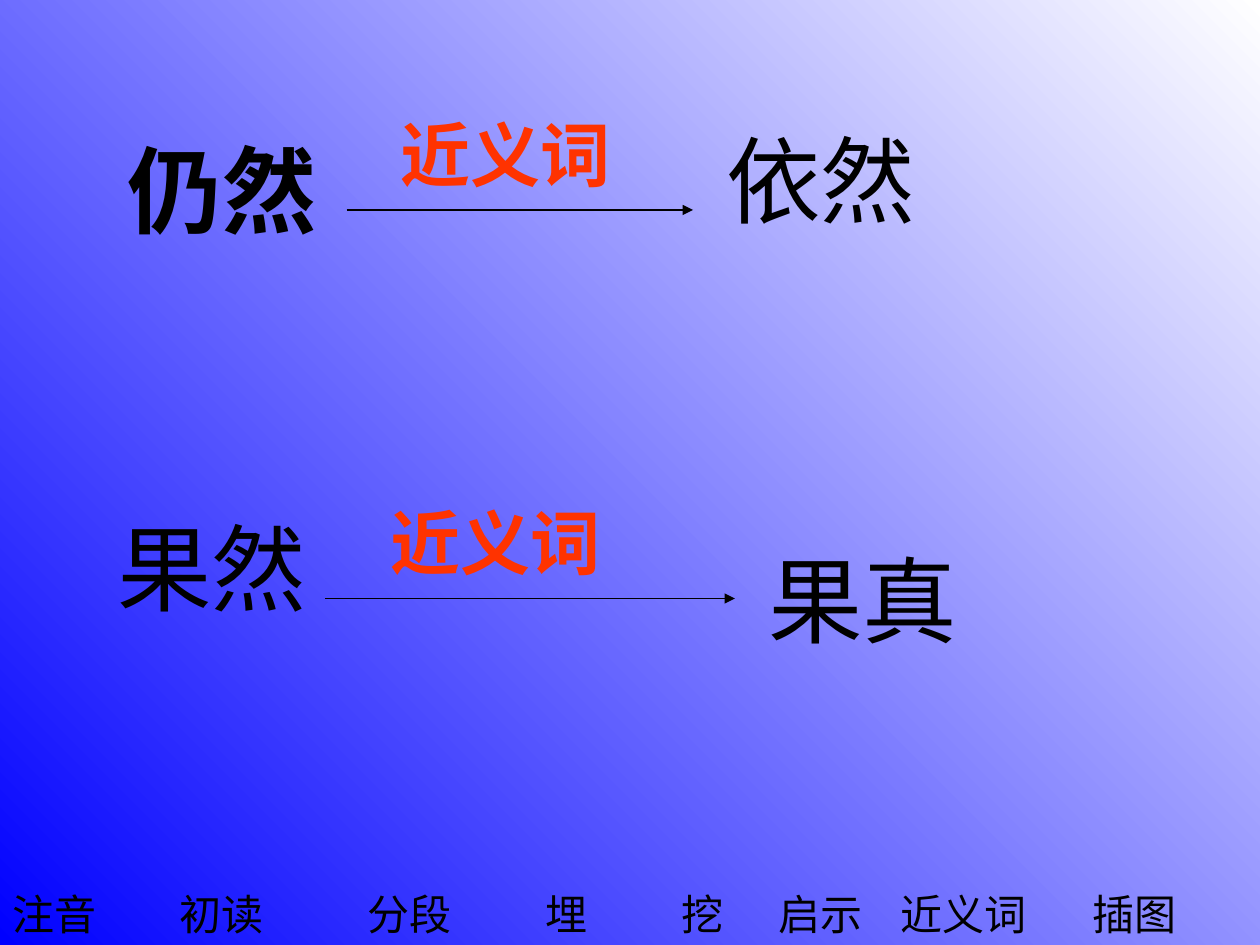
import pptx
import pptx.dml.color
import pptx.enum.shapes
import pptx.enum.text
import pptx.oxml
import pptx.oxml.ns
import pptx.util

COLORS = {"text": "000000", "label": "FF3300", "sky": "FFFFFF", "deep": "0000FF"}
FONT = "Times New Roman"
COLUMNS, ROWS = 120, 90
CELL = pptx.util.Inches(10) // COLUMNS

SYNONYM_ROWS = [
    {
        "box": (10, 10, 86, 14),
        "word": ("仍然", (1, 2, 36, 12), True),
        "label": ("近义词", (27, 0, 25, 9.2)),
        "arrow": (23, 56, 10),
        "synonym": ("依然", (58, 1, 28, 12)),
    },
    {
        "box": (10, 47, 89, 16),
        "word": ("果然", (0, 1, 28, 12), False),
        "label": ("近义词", (26, 0, 29, 9.2)),
        "arrow": (21, 60, 10),
        "synonym": ("果真", (62, 4, 27, 12)),
    },
]
MENU = ["注音", "初读", "分段", "埋", "挖", "启示", "近义词", "插图"]
MENU_STOPS = [1.33, 2.82, 4.23, 5.31, 6.08, 7.05, 8.57]


def rgb(name):
    return pptx.dml.color.RGBColor.from_string(COLORS[name])


def cells(count):
    return round(count * CELL)


def inside(box, part):
    return (box[0] + part[0], box[1] + part[1], part[2], part[3])


def add_text(slide, text, box, size=54, bold=False, color="text", stops=()):
    shape = slide.shapes.add_textbox(*map(cells, box))
    frame = shape.text_frame
    frame.word_wrap = True
    frame.auto_size = pptx.enum.text.MSO_AUTO_SIZE.SHAPE_TO_FIT_TEXT
    paragraph = frame.paragraphs[0]
    if stops:
        properties = paragraph._p.get_or_add_pPr()
        tab_list = pptx.oxml.parse_xml(
            "<a:tabLst %s/>" % pptx.oxml.ns.nsdecls("a"))
        for stop in stops:
            tab = tab_list.makeelement(pptx.oxml.ns.qn("a:tab"), {
                "pos": str(pptx.util.Inches(stop)), "algn": "l"})
            tab_list.append(tab)
        properties.append(tab_list)
    run = paragraph.add_run()
    run.text = text
    run.font.name = FONT
    run.font.size = pptx.util.Pt(size)
    run.font.bold = bold
    run.font.color.rgb = rgb(color)
    return shape


def add_arrow(slide, start, end, row):
    arrow = slide.shapes.add_connector(
        pptx.enum.shapes.MSO_CONNECTOR.STRAIGHT,
        cells(start), cells(row), cells(end), cells(row))
    arrow.line.color.rgb = rgb("text")
    arrow.line.width = pptx.util.Pt(0.75)
    namespace = pptx.oxml.ns.nsdecls("a")
    arrow.line._get_or_add_ln().append(
        pptx.oxml.parse_xml('<a:tailEnd %s type="triangle"/>' % namespace))
    arrow._element.spPr.append(
        pptx.oxml.parse_xml("<a:effectLst %s/>" % namespace))


def add_synonym_row(slide, box, word, label, arrow, synonym):
    text, part, bold = word
    add_text(slide, text, inside(box, part), bold=bold)
    start, end, height = arrow
    add_arrow(slide, box[0] + start, box[0] + end, box[1] + height)
    text, part = synonym
    add_text(slide, text, inside(box, part))
    text, part = label
    add_text(slide, text, inside(box, part), size=40, bold=True, color="label")


def add_menu(slide, box):
    add_text(slide, "\t".join(MENU), box, size=24, stops=MENU_STOPS)


def paint_background(slide):
    fill = slide.background.fill
    fill.gradient()
    fill.gradient_angle = 225
    for stop, name, position in zip(fill.gradient_stops, ("sky", "deep"), (0, 1)):
        stop.color.rgb = rgb(name)
        stop.position = position


def main():
    presentation = pptx.Presentation()
    presentation.slide_width = cells(COLUMNS)
    presentation.slide_height = cells(ROWS)
    slide = presentation.slides.add_slide(presentation.slide_layouts[6])
    paint_background(slide)
    for row in SYNONYM_ROWS:
        add_synonym_row(slide, **row)
    add_menu(slide, (0, ROWS - 6, COLUMNS, 6))
    presentation.save("out.pptx")


if __name__ == "__main__":
    main()
